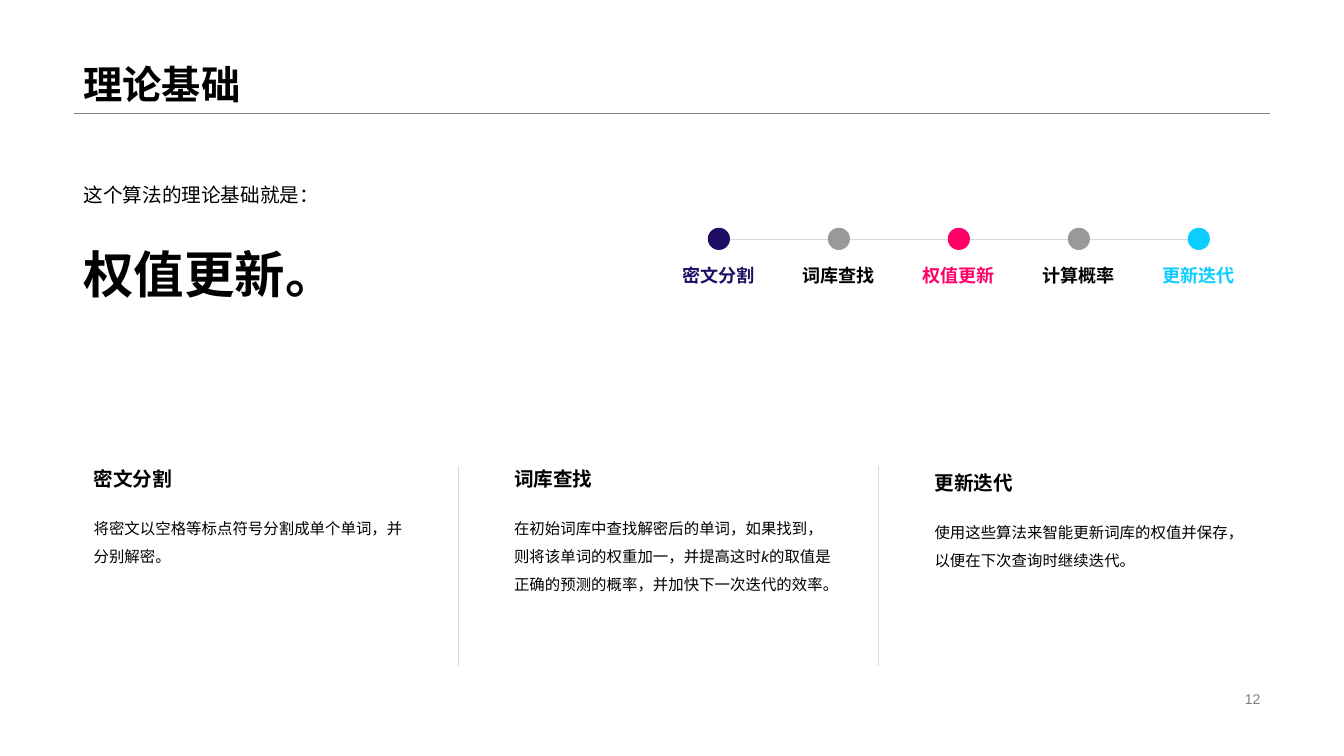
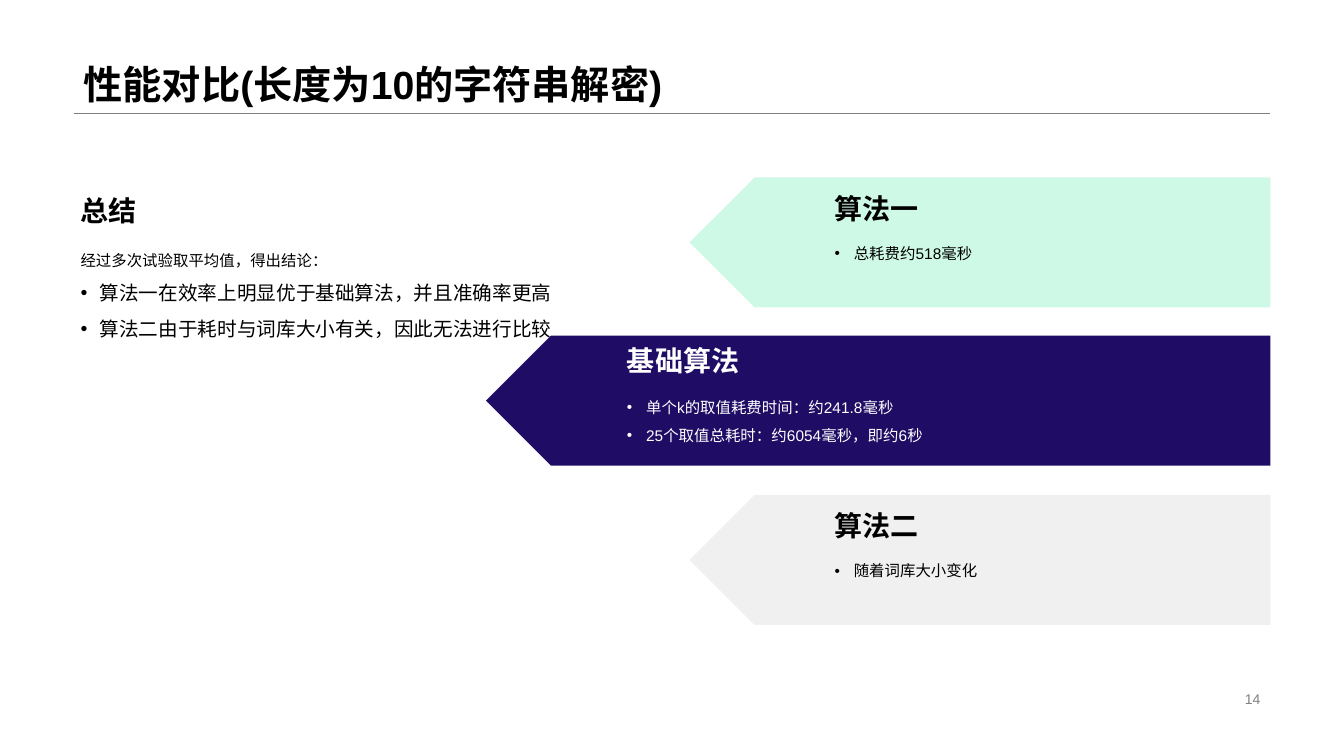
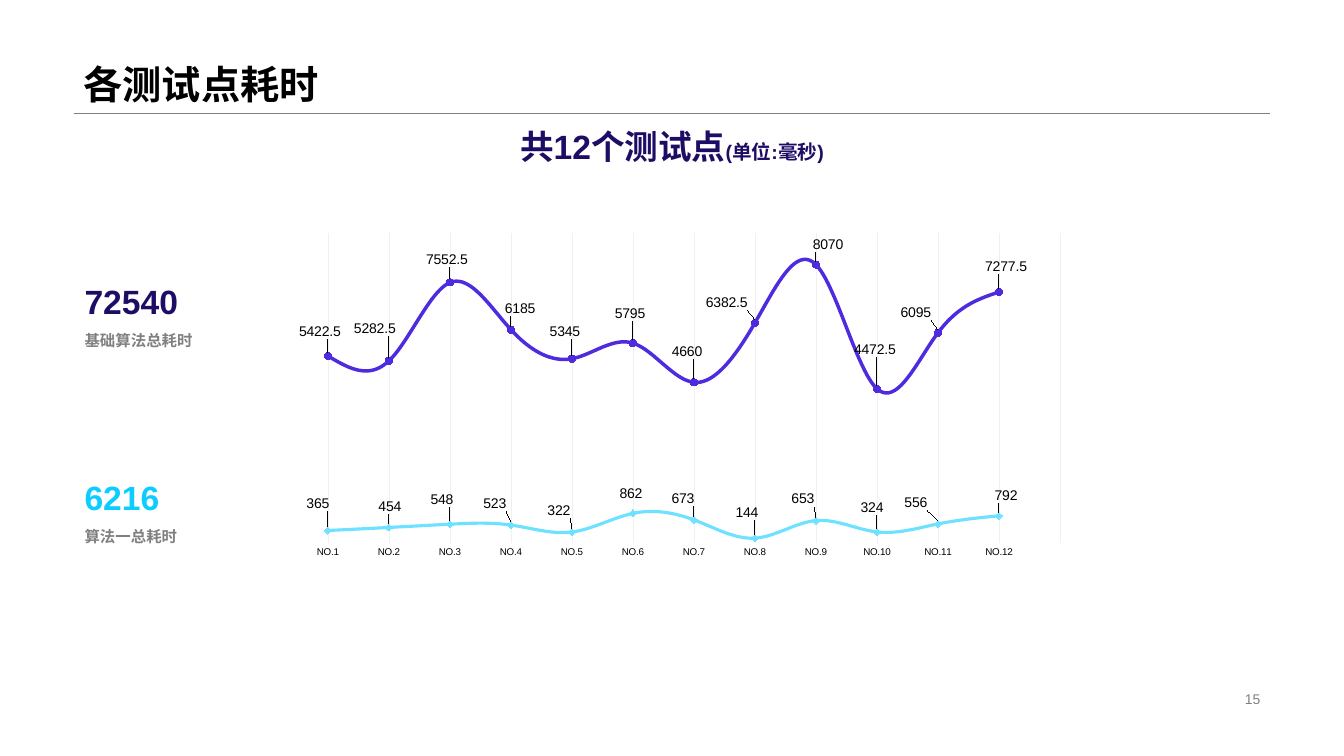
from lxml import etree
from pptx import Presentation
from pptx.chart.data import CategoryChartData
from pptx.dml.color import RGBColor
from pptx.enum import chart as charts, lang, shapes, text
from pptx.oxml.ns import qn
from pptx.util import Inches, Pt

FONT = "Arial"
BLACK, WHITE, GREY, RULE = "000000", "FFFFFF", "808080", "D9D9D9"
NAVY, CYAN, PINK, DOT_GREY = "1F0D65", "0CCDFF", "FF0068", "999999"
MINT, PALE = "CFF9E7", "F0F0F0"
LEFT, RIGHT, TITLE_BOTTOM = 0.73, 12.6, 1.12
TOP, MIDDLE, BOTTOM = (text.MSO_ANCHOR.TOP, text.MSO_ANCHOR.MIDDLE,
                       text.MSO_ANCHOR.BOTTOM)
CENTER, ALIGN_RIGHT = text.PP_ALIGN.CENTER, text.PP_ALIGN.RIGHT

STEPS = [("密文分割", NAVY, NAVY), ("词库查找", DOT_GREY, BLACK),
         ("权值更新", PINK, PINK), ("计算概率", DOT_GREY, BLACK),
         ("更新迭代", CYAN, CYAN)]

# heading, top, runs of the body
COLUMNS = [
    ("密文分割", 4.58, ["将密文以空格等标点符号分割成单个单词，并分别解密。"]),
    ("词库查找", 4.58, [
        "在初始词库中查找解密后的单词，如果找到，则将该单词的权重加一，并提高这时",
        ("k", {"italic": True}),
        "的取值是正确的预测的概率，并加快下一次迭代的效率。"]),
    ("更新迭代", 4.62, ["使用这些算法来智能更新词库的权值并保存，以便在下次查询时继续迭代。"]),
]

SUMMARY = ["算法一在效率上明显优于基础算法，并且准确率更高",
           "算法二由于耗时与词库大小有关，因此无法进行比较"]

# heading, bullets, arrow left, text left, heading offset, anchor, fill, text colour
ARROWS = [
    ("算法一", ["总耗费约518毫秒"], 6.84, 8.18, 0.04, BOTTOM, MINT, BLACK),
    ("基础算法", ["单个k的取值耗费时间：约241.8毫秒", "25个取值总耗时：约6054毫秒，即约6秒"],
     4.82, 6.12, 0, MIDDLE, NAVY, WHITE),
    ("算法二", ["随着词库大小变化"], 6.84, 8.18, 0.04, BOTTOM, PALE, BLACK),
]

TOTALS = [("72540", "基础算法总耗时", 2.74, NAVY), ("6216", "算法一总耗时", 4.68, CYAN)]

CHART_BOX = (2.61, 2.14, 8.14, 3.49)
# label shifts are hundredths of an inch from the place above the point
SERIES = [
    {"name": "Series 1", "color": "4F2BDF", "width": 2.5,
     "marker": charts.XL_MARKER_STYLE.CIRCLE,
     "values": [5422.5, 5282.5, 7552.5, 6185, 5345, 5795,
                4660, 6382.5, 8070, 4472.5, 6095, 7277.5],
     "shifts": [(-8, -9), (-14, -17), (-3, -7), (9, -6), (-7, -12), (-3, -14),
                (-7, -15), (-28, -5), (12, -5), (-2, -24), (-22, -5), (7, -10)]},
    {"name": "Series 2", "color": "6DE1FF", "width": 2.25,
     "marker": charts.XL_MARKER_STYLE.DIAMOND,
     "values": [365, 454, 548, 523, 322, 862, 673, 144, 653, 324, 556, 792],
     "shifts": [(-10, -11), (1, -5), (-8, -9), (-16, -6), (-13, -6), (-2, -4),
                (-11, -6), (-8, -10), (-13, -6), (-5, -9), (-22, -6), (7, -5)]},
]


def rgb(value):
    return RGBColor.from_string(value)


def inches(values):
    return [Inches(round(value, 2)) for value in values]


def write(shape, paragraphs, anchor=TOP, wrap=True):
    """Fill a shape with (runs, format) paragraphs; a run is a string or (string, format)."""
    frame = shape.text_frame
    frame.word_wrap = wrap
    frame.auto_size = text.MSO_AUTO_SIZE.NONE
    frame.vertical_anchor = anchor
    for index, (runs, look) in enumerate(paragraphs):
        paragraph = frame.add_paragraph() if index else frame.paragraphs[0]
        paragraph.alignment = look.get("align", text.PP_ALIGN.LEFT)
        paragraph.line_spacing = look.get("spacing", 1.0)
        if look.get("bullet"):
            properties = paragraph._p.get_or_add_pPr()
            properties.set("marL", str(Inches(0.19)))
            properties.set("indent", str(-Inches(0.19)))
            etree.SubElement(properties, qn("a:buFont"), typeface=FONT)
            etree.SubElement(properties, qn("a:buChar"), char="•")
        for item in [runs] if isinstance(runs, str) else runs:
            words, extra = (item, {}) if isinstance(item, str) else item
            run_look = {**look, **extra}
            run = paragraph.add_run()
            run.text = words
            settings = {"name": FONT, "size": Pt(run_look["size"]),
                        "bold": run_look.get("bold", False),
                        "italic": run_look.get("italic", False),
                        "language_id": lang.MSO_LANGUAGE_ID.SIMPLIFIED_CHINESE}
            for name, value in settings.items():
                setattr(run.font, name, value)
            run.font.color.rgb = rgb(run_look.get("color", BLACK))


def add_text(slide, box, paragraphs, anchor=TOP, wrap=True):
    write(slide.shapes.add_textbox(*inches(box)), paragraphs, anchor, wrap)


def add_line(slide, start, end, color):
    line = slide.shapes.add_connector(shapes.MSO_CONNECTOR.STRAIGHT,
                                      *inches(start + end))
    line.line.color.rgb = rgb(color)
    line.line.width = Pt(0.25)
    etree.SubElement(line._element.spPr, qn("a:effectLst"))
    return line


def add_filled(slide, kind, box, color):
    shape = slide.shapes.add_shape(kind, *inches(box))
    shape.shadow.inherit = False
    shape.fill.solid()
    shape.fill.fore_color.rgb = rgb(color)
    shape.line.fill.background()
    return shape


def prepare_layout(presentation):
    layout = presentation.slide_layouts[5]
    title = layout.placeholders[0]
    box = inches((LEFT, 0, RIGHT - LEFT, TITLE_BOTTOM))
    for name, value in zip(("left", "top", "width", "height"), box):
        setattr(title, name, value)
    return layout


def add_slide(presentation, layout, title, number):
    slide = presentation.slides.add_slide(layout)
    if len(presentation.slides) == 1:  # the title rule belongs to the layout
        rule = add_line(slide, (LEFT, TITLE_BOTTOM), (RIGHT, TITLE_BOTTOM), GREY)
        layout.shapes._spTree.append(rule._element)
    write(slide.shapes.title,
          [(title, {"size": 28, "bold": True, "spacing": 0.9})], BOTTOM)
    add_text(slide, (9.42, 6.82, 3.18, 0.23),
             [(str(number), {"size": 10, "color": GREY, "align": ALIGN_RIGHT})], MIDDLE)
    return slide


def build_theory(slide):
    add_text(slide, (LEFT, 1.63, 4.96, 1.34), [
        ("这个算法的理论基础就是：", {"size": 14, "spacing": 1.6}),
        ("权值更新。", {"size": 36, "bold": True, "spacing": 1.6})])

    first, gap, middle, dot = 7.13, 1.19, 2.37, 0.22
    centers = [first + gap * index for index in range(len(STEPS))]
    for start, end in zip(centers, centers[1:]):
        add_line(slide, (start, middle), (end, middle), RULE)
    for center, (label, fill, color) in zip(centers, STEPS):
        add_filled(slide, shapes.MSO_SHAPE.OVAL,
                   (center - dot / 2, middle - dot / 2, dot, dot), fill)
        add_text(slide, (center - 0.48, 2.53, 0.96, 0.4),
                 [(label, {"size": 12.9, "bold": True, "color": color,
                           "align": CENTER})], MIDDLE)

    for index, (heading, top, body) in enumerate(COLUMNS):
        left = 0.83 + 4.17 * index
        add_text(slide, (left, top, 3.39, 0.34), [(heading, {"size": 14, "bold": True})])
        add_text(slide, (left, top + 0.43, 3.39, 1.92),
                 [(body, {"size": 11, "spacing": 1.5})])
        if index:
            add_line(slide, (left - 0.46, 4.62), (left - 0.46, 6.61), RULE)


def build_comparison(slide):
    heading_look = {"size": 20, "bold": True}
    bullet_look = {"spacing": 1.5, "bullet": True}
    add_text(slide, (0.7, 1.87, 5.44, 0.48), [("总结", heading_look)])
    add_text(slide, (0.7, 2.35, 4.92, 1.59),
             [("经过多次试验取平均值，得出结论：", {"size": 11, "spacing": 1.5})]
             + [(point, {**bullet_look, "size": 14}) for point in SUMMARY])

    for index, arrow in enumerate(ARROWS):
        heading, points, left, text_left, offset, anchor, fill, color = arrow
        top = 1.76 + 1.575 * index
        plate = add_filled(slide, shapes.MSO_SHAPE.PENTAGON,
                           (left, top, RIGHT - left, 1.29), fill)
        plate._element.spPr.find(qn("a:xfrm")).set("flipH", "1")
        add_text(slide, (text_left, top + offset, 4.11, 0.48),
                 [(heading, {**heading_look, "color": color})], anchor)
        add_text(slide, (text_left, top + offset + 0.48, 4.47, 0.8),
                 [(point, {**bullet_look, "size": 11, "color": color})
                  for point in points])


def set_layout(parent, position, **values):
    """Give a chart part a manual layout."""
    layout = parent.find(qn("c:layout"))
    if layout is None:
        layout = etree.Element(qn("c:layout"))
        parent.insert(position, layout)
    manual = etree.SubElement(layout, qn("c:manualLayout"))
    for name, value in values.items():
        etree.SubElement(manual, qn("c:" + name), val=str(value))


def style_series(series, data):
    series.smooth = True
    series.format.line.color.rgb = rgb(data["color"])
    series.format.line.width = Pt(data["width"])
    series.marker.style = data["marker"]
    series.marker.size = 5
    series.marker.format.fill.solid()
    series.marker.format.fill.fore_color.rgb = rgb(data["color"])
    series.marker.format.line.fill.background()
    above = charts.XL_LABEL_POSITION.ABOVE
    series.data_labels.show_value = True
    series.data_labels.position = above
    for index in range(len(data["shifts"])):
        series.points[index].data_label.position = above
    labels = series._element.findall(".//" + qn("c:dLbl"))
    for label, (x, y) in zip(labels, data["shifts"]):
        set_layout(label, 1, x=round(x / 100 / CHART_BOX[2], 4),
                   y=round(y / 100 / CHART_BOX[3], 4))


def add_time_chart(slide):
    chart_data = CategoryChartData()
    chart_data.categories = [f"NO.{number}" for number in range(1, 13)]
    for data in SERIES:
        # an empty last value keeps room on the right
        chart_data.add_series(data["name"], data["values"] + [None])
    chart = slide.shapes.add_chart(charts.XL_CHART_TYPE.LINE_MARKERS,
                                   *inches(CHART_BOX), chart_data).chart
    chart.has_legend = chart.has_title = False
    chart.font.name, chart.font.size = FONT, Pt(10)
    chart.font.color.rgb = rgb(BLACK)
    chart.plots[0].vary_by_categories = False
    for axis in (chart.category_axis, chart.value_axis):
        axis.major_tick_mark = axis.minor_tick_mark = charts.XL_TICK_MARK.NONE
        axis.tick_labels.font.size = Pt(7)
        axis.format.line.fill.background()
    chart.category_axis.has_major_gridlines = True
    chart.category_axis.major_gridlines.format.line.color.rgb = rgb(PALE)
    chart.category_axis.major_gridlines.format.line.width = Pt(0.25)
    values = chart.value_axis
    values.has_major_gridlines = False
    values.minimum_scale, values.maximum_scale = 0, 9000
    values.tick_label_position = charts.XL_TICK_LABEL_POSITION.NONE
    etree.SubElement(values._element, qn("c:crossBetween"), val="midCat")
    plot_area = chart._chartSpace.find(".//" + qn("c:plotArea"))
    set_layout(plot_area, 0, layoutTarget="inner", xMode="edge", yMode="edge",
               x=0.079, y=0.048, w=0.892, h=0.883)
    for series, data in zip(chart.plots[0].series, SERIES):
        style_series(series, data)


def build_times(slide):
    look = {"size": 24, "bold": True, "color": NAVY, "align": CENTER}
    add_text(slide, (0.74, 1.2, 11.85, 0.5),
             [(["共12个测试点", ("(单位:毫秒)", {"size": 14})], look)], MIDDLE)
    for total, label, top, color in TOTALS:
        add_text(slide, (0.74, top, 1.4, 0.5),
                 [(total, {"size": 24, "bold": True, "color": color})])
        add_text(slide, (0.74, top + 0.5, 1.91, 0.29),
                 [(label, {"size": 11, "bold": True, "color": GREY})])
    add_time_chart(slide)


def main():
    presentation = Presentation()
    presentation.slide_width, presentation.slide_height = inches((13.33, 7.5))
    layout = prepare_layout(presentation)
    for title, number, build in [
            ("理论基础", 12, build_theory),
            ("性能对比(长度为10的字符串解密)", 14, build_comparison),
            ("各测试点耗时", 15, build_times)]:
        build(add_slide(presentation, layout, title, number))
    presentation.save("out.pptx")


if __name__ == "__main__":
    main()
